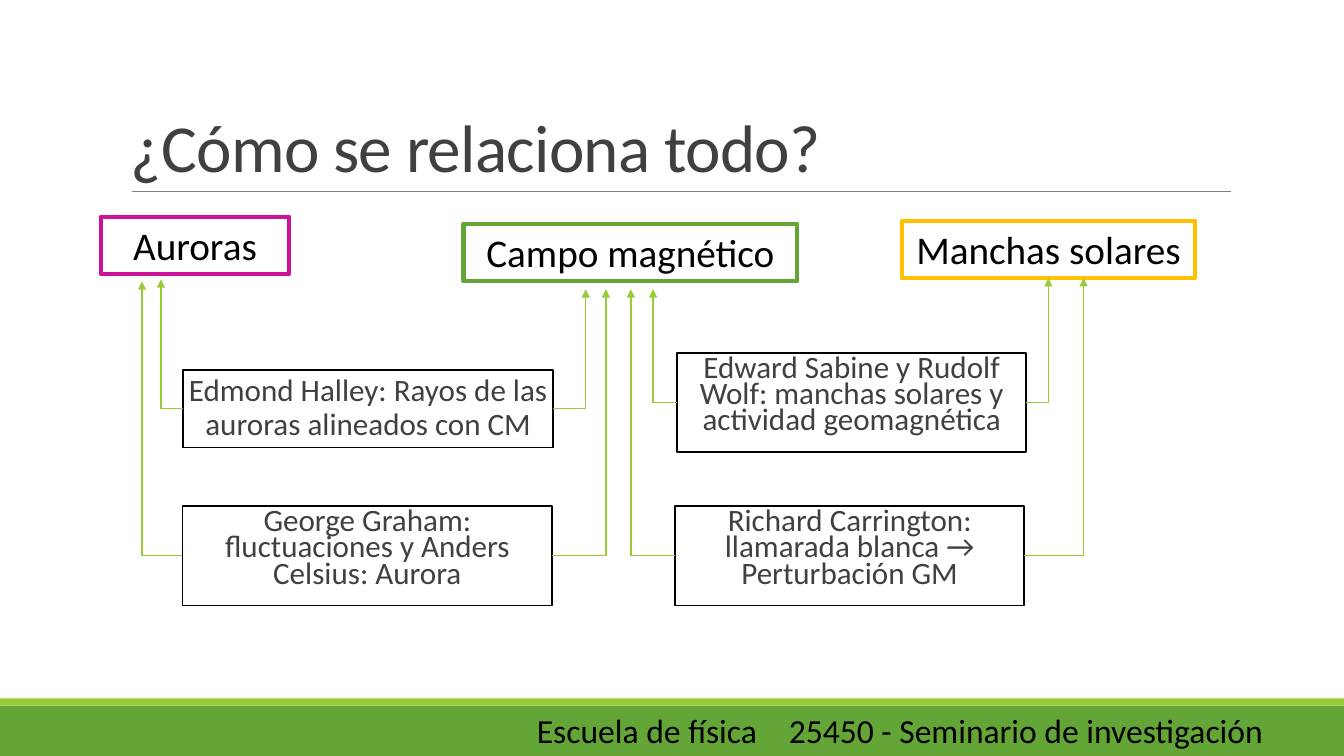
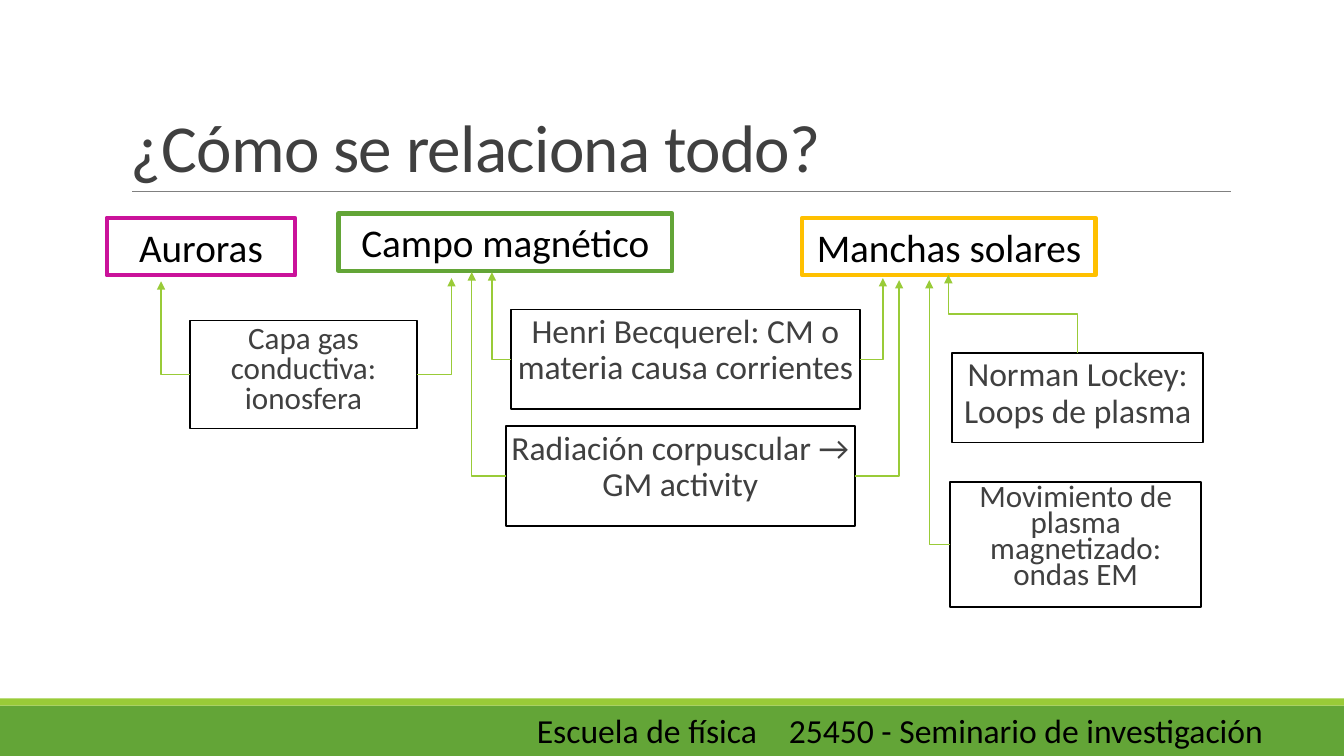
import dataclasses

import lxml.etree
import pptx
import pptx.dml.color
import pptx.enum.shapes
import pptx.enum.text
import pptx.oxml.ns
import pptx.util

Cm = pptx.util.Cm
Pt = pptx.util.Pt
qn = pptx.oxml.ns.qn
ALIGN = pptx.enum.text.PP_ALIGN
ANCHOR = pptx.enum.text.MSO_ANCHOR
SHAPE = pptx.enum.shapes.MSO_SHAPE
CONNECTOR = pptx.enum.shapes.MSO_CONNECTOR


@dataclasses.dataclass(frozen=True)
class Theme:
    font: str = "Calibri"
    white: str = "FFFFFF"
    black: str = "000000"
    dark: str = "404040"
    rule: str = "808080"
    green: str = "63A537"
    lime: str = "99CB38"
    magenta: str = "CA129A"
    amber: str = "FFC000"
    title_size: float = 48
    topic_size: float = 28
    body_size: float = 24
    small_size: float = 22.2


@dataclasses.dataclass(frozen=True)
class Box:
    left: float
    top: float
    width: float
    height: float

    def inner(self, left, top, width, height):
        return Box(self.left + left, self.top + top, width, height)

    def lengths(self):
        return [Cm(value) for value in dataclasses.astuple(self)]


@dataclasses.dataclass(frozen=True)
class Fact:
    text: str
    place: tuple
    arrows: dict
    size: float
    spacing: float


THEME = Theme()
WIDTH, HEIGHT = 33.87, 19.05
TITLE_AREA = Box(3.05, 0.79, 27.94, 4.04)
DIAGRAM_AREA = Box(2.5, 5, 28, 11)
FOOTER_AREA = Box(0, 17.6, WIDTH, 1.45)
TITLE = "¿Cómo se relaciona todo?"
FOOTER = "Escuela de física\t25450 - Seminario de investigación"
TOP, LEFT, RIGHT = 0, 1, 3

TOPIC_HEIGHT = 1.45
TOPICS = [
    ("Auroras", THEME.magenta, 4.75),
    ("Campo magnético", THEME.green, 8.41),
    ("Manchas solares", THEME.amber, 7.39),
]

SLIDES = [
    (
        [(0.04, 0.46), (9.18, 0.64), (20.23, 0.56)],
        [
            Fact("Edmond Halley: Rayos de las auroras alineados con CM",
                 (2.12, 4.32, 9.32, 1.96),
                 {LEFT: (1.56, 2.04), RIGHT: (12.26, 2.29)}, THEME.small_size, 0.9),
            Fact("George Graham: fluctuaciones y Anders Celsius: Aurora",
                 (2.1, 7.75, 9.32, 2.51),
                 {LEFT: (1.08, 2.09), RIGHT: (12.77, 2.29)}, THEME.small_size, 0.7),
            Fact("Edward Sabine y Rudolf Wolf: manchas solares y actividad geomagnética",
                 (14.57, 3.89, 8.79, 2.51),
                 {LEFT: (13.96, 2.29), RIGHT: (23.92, 2.01)}, THEME.small_size, 0.7),
            Fact("Richard Carrington: llamarada blanca → Perturbación GM",
                 (14.52, 7.75, 8.79, 2.51),
                 {LEFT: (13.4, 2.29), RIGHT: (24.81, 2.01)}, THEME.small_size, 0.7),
        ],
    ),
    (
        [(0.19, 0.49), (6.03, 0.38), (17.72, 0.49)],
        [
            Fact("Capa gas conductiva: ionosfera",
                 (2.28, 3.08, 5.74, 2.72),
                 {LEFT: (1.56, 2.09), RIGHT: (8.88, 2.01)}, THEME.small_size, 0.8),
            Fact("Norman Lockey: Loops de plasma",
                 (21.5, 3.89, 6.32, 2.26),
                 {TOP: (21.4, 1.93)}, THEME.body_size, 0.9),
            Fact("Henri Becquerel: CM o materia causa corrientes",
                 (10.38, 2.8, 8.79, 2.51),
                 {LEFT: (9.9, 1.86), RIGHT: (19.75, 2.01)}, THEME.body_size, 0.9),
            Fact("Radiación corpuscular → GM activity",
                 (10.25, 5.74, 8.79, 2.51),
                 {LEFT: (9.39, 1.86), RIGHT: (20.16, 2.06)}, THEME.body_size, 0.9),
            Fact("Movimiento de plasma magnetizado: ondas EM",
                 (21.45, 7.14, 6.32, 3.15),
                 {LEFT: (20.92, 2.06)}, THEME.small_size, 0.7),
        ],
    ),
]


def rgb(colour):
    return pptx.dml.color.RGBColor.from_string(colour)


def apply_format(target, values):
    for name, value in values.items():
        setattr(target, name, value)


def write_text(shape, text, size, colour, frame_format, para_format):
    frame = shape.text_frame
    apply_format(frame, {"word_wrap": True, "vertical_anchor": ANCHOR.TOP, **frame_format})
    para = frame.paragraphs[0]
    apply_format(para, para_format)
    span = para.add_run()
    span.text = text
    apply_format(span.font, {"name": THEME.font, "size": Pt(size)})
    span.font.color.rgb = rgb(colour)
    return span


def add_rectangle(page, box, fill, outline=None, weight=0):
    shape = page.shapes.add_shape(SHAPE.RECTANGLE, *box.lengths())
    shape.shadow.inherit = False
    shape.fill.solid()
    shape.fill.fore_color.rgb = rgb(fill)
    if outline:
        shape.line.color.rgb = rgb(outline)
        shape.line.width = Pt(weight)
    else:
        shape.line.fill.background()
    return shape


def add_line(page, kind, points, colour, weight):
    line = page.shapes.add_connector(kind, *[Cm(value) for value in points])
    line.line.color.rgb = rgb(colour)
    line.line.width = Pt(weight)
    lxml.etree.SubElement(line._element.spPr, qn("a:effectLst"))
    return line


def add_arrow(page, shape, box, side, tip):
    middle_x = box.left + box.width / 2
    middle_y = box.top + box.height / 2
    start = {
        TOP: (middle_x, box.top),
        LEFT: (box.left, middle_y),
        RIGHT: (box.left + box.width, middle_y),
    }[side]
    points = (*start, *tip)
    if side == TOP:
        center_x, center_y = (start[0] + tip[0]) / 2, (start[1] + tip[1]) / 2
        half_rise, half_run = (start[1] - tip[1]) / 2, (start[0] - tip[0]) / 2
        points = (center_x - half_rise, center_y + half_run,
                  center_x + half_rise, center_y - half_run)
    arrow = add_line(page, CONNECTOR.ELBOW, points, THEME.lime, 1)
    arrow.begin_connect(shape, side)
    apply_format(arrow, {"begin_x": Cm(points[0]), "begin_y": Cm(points[1])})
    properties = arrow._element.spPr
    if side == TOP:
        properties.find(qn("a:xfrm")).set("rot", "16200000")
    else:
        properties.find(qn("a:prstGeom")).set("prst", "bentConnector2")
    lxml.etree.SubElement(properties.find(qn("a:ln")), qn("a:tailEnd"), type="triangle")


def add_title(page, box):
    add_line(page, CONNECTOR.STRAIGHT, (box.left + 0.28, box.top + box.height,
                                        box.left + box.width + 0.02, box.top + box.height),
             THEME.rule, 0.5)
    shape = page.shapes.add_textbox(*box.lengths())
    span = write_text(shape, TITLE, THEME.title_size, THEME.dark,
                      {"vertical_anchor": ANCHOR.BOTTOM}, {"line_spacing": 0.85})
    span.font._element.set("spc", "-50")


def add_footer(page, box):
    add_rectangle(page, box.inner(0, 0.18, box.width, box.height - 0.18), THEME.green)
    add_rectangle(page, box.inner(0, 0, box.width, 0.18), THEME.lime)
    shape = page.shapes.add_textbox(*box.inner(12.24, 0.28, 20.88, 1.4).lengths())
    write_text(shape, FOOTER, THEME.body_size, THEME.black, {},
               {"alignment": ALIGN.CENTER, "line_spacing": 0.9})


def add_diagram(page, area, corners, facts):
    for (name, colour, width), corner in zip(TOPICS, corners):
        box = area.inner(*corner, width, TOPIC_HEIGHT)
        shape = add_rectangle(page, box, THEME.white, colour, 3)
        write_text(shape, name, THEME.topic_size, THEME.black, {},
                   {"alignment": ALIGN.CENTER})
    for fact in facts:
        box = area.inner(*fact.place)
        shape = add_rectangle(page, box, THEME.white, THEME.black, 1.25)
        write_text(shape, fact.text, fact.size, THEME.dark,
                   {"margin_left": 0, "margin_right": 0},
                   {"alignment": ALIGN.CENTER, "line_spacing": fact.spacing,
                    "space_after": Pt(2)})
        for side, (tip_x, tip_y) in fact.arrows.items():
            add_arrow(page, shape, box, side, (area.left + tip_x, area.top + tip_y))


def main():
    deck = pptx.Presentation()
    apply_format(deck, {"slide_width": Cm(WIDTH), "slide_height": Cm(HEIGHT)})
    for corners, facts in SLIDES:
        page = deck.slides.add_slide(deck.slide_layouts[6])
        add_footer(page, FOOTER_AREA)
        add_title(page, TITLE_AREA)
        add_diagram(page, DIAGRAM_AREA, corners, facts)
    deck.save("out.pptx")


if __name__ == "__main__":
    main()
